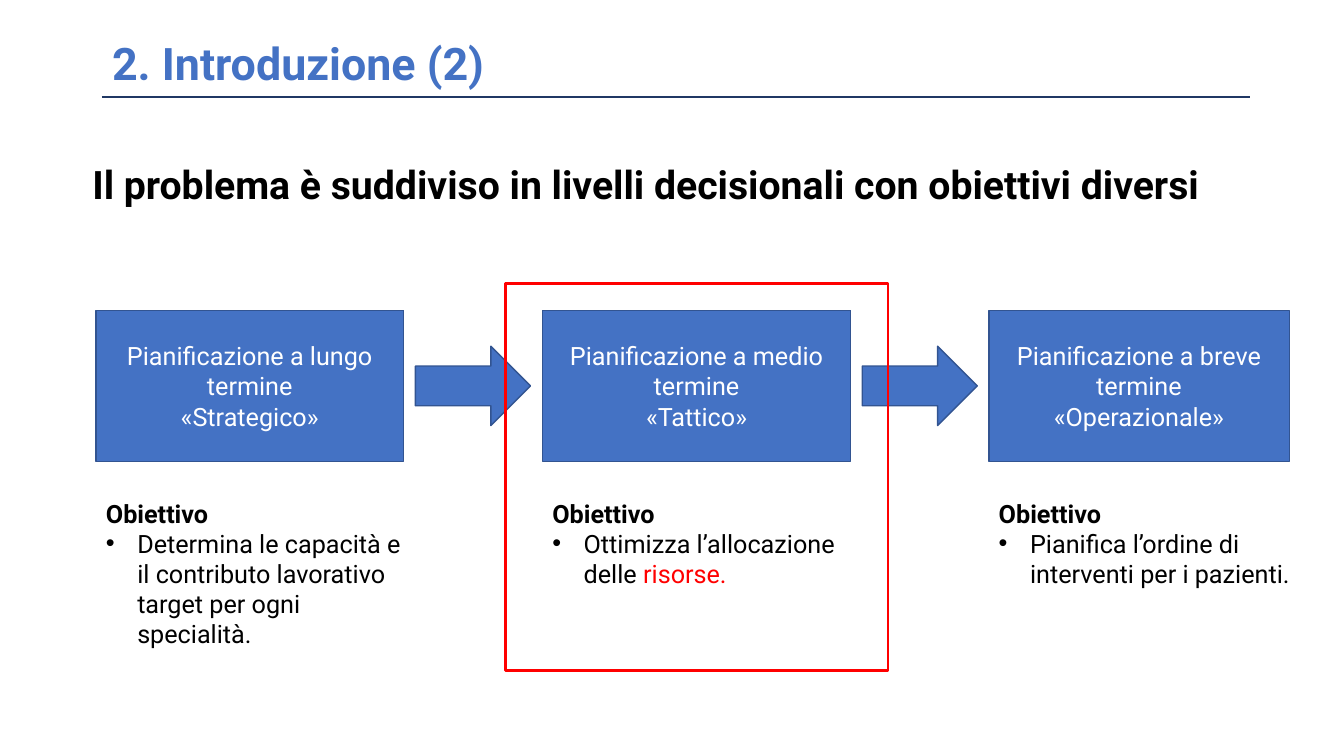
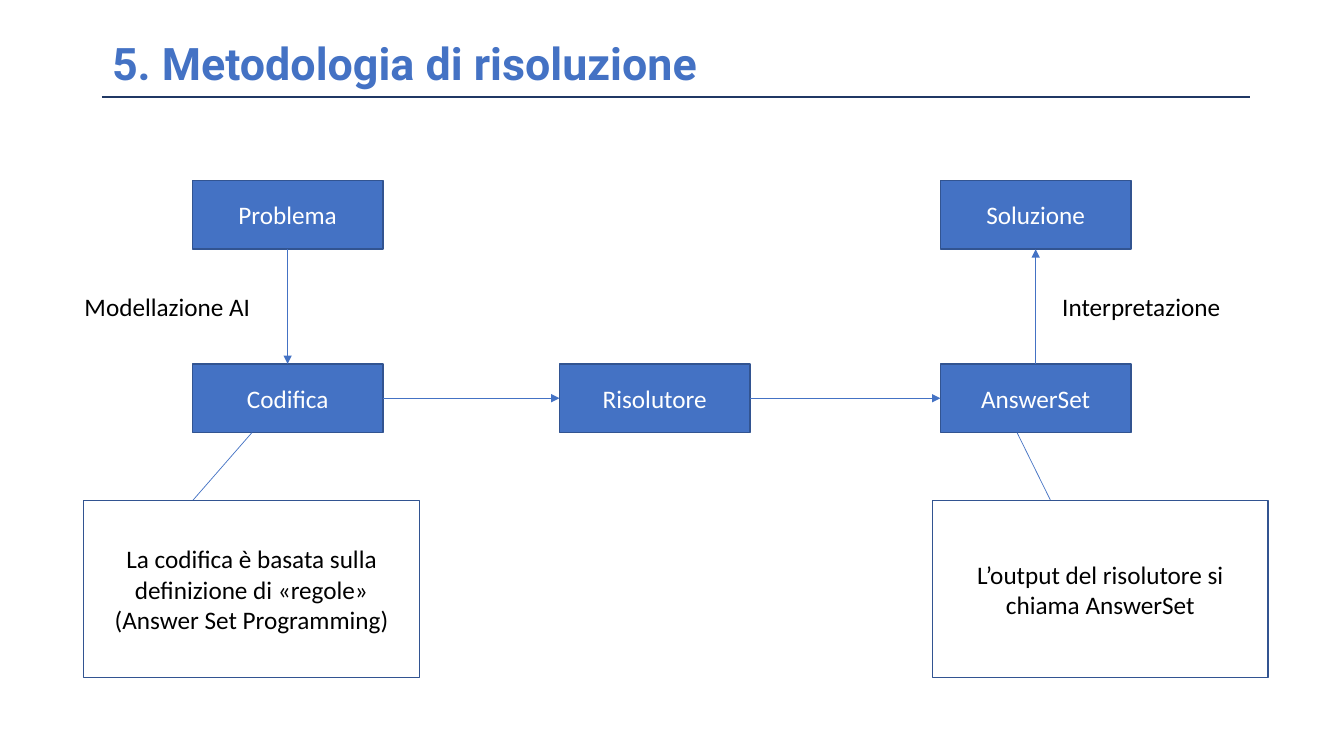
from dataclasses import dataclass

from lxml import etree
from pptx import Presentation
from pptx.dml.color import RGBColor
from pptx.enum.shapes import MSO_CONNECTOR, MSO_SHAPE
from pptx.enum.text import MSO_ANCHOR, MSO_AUTO_SIZE, PP_ALIGN
from pptx.oxml.ns import qn
from pptx.util import Cm, Pt

RECTANGLE = MSO_SHAPE.RECTANGLE
PROCESS = MSO_SHAPE.FLOWCHART_PROCESS
RIGHT_ARROW = MSO_SHAPE.RIGHT_ARROW
STRAIGHT = MSO_CONNECTOR.STRAIGHT
MIDDLE = MSO_ANCHOR.MIDDLE
LEFT, CENTER = PP_ALIGN.LEFT, PP_ALIGN.CENTER
NO_AUTOFIT = MSO_AUTO_SIZE.NONE
TITLE_ONLY = 5
TOP_SIDE, LEFT_SIDE, BOTTOM_SIDE, RIGHT_SIDE = range(4)


@dataclass(frozen=True)
class Theme:
    blue: str = "4472C4"
    outline: str = "325491"
    navy: str = "203864"
    red: str = "FF0000"
    black: str = "000000"
    white: str = "FFFFFF"
    title_size: int = 32
    headline_size: int = 28
    body_size: int = 18
    heading_font: str = "Roboto"
    diagram_font: str = "Calibri"


THEME = Theme()


def rgb(color):
    return RGBColor.from_string(color)


def add_run(para, text, font, color=THEME.black, size=THEME.body_size, bold=False):
    span = para.add_run()
    span.text = text
    span.font.name = font
    span.font.size = Pt(size)
    span.font.bold = bold
    span.font.color.rgb = rgb(color)


def add_shape(slide, kind, left, top, width, height,
              fill=THEME.blue, line=THEME.outline, weight=1):
    shape = slide.shapes.add_shape(kind, Cm(left), Cm(top), Cm(width), Cm(height))
    shape.shadow.inherit = False
    if fill:
        shape.fill.solid()
        shape.fill.fore_color.rgb = rgb(fill)
    else:
        shape.fill.background()
    shape.line.color.rgb = rgb(line)
    shape.line.width = Pt(weight)
    return shape


def write_centered(box, lines, font, color=THEME.white):
    frame = box.text_frame
    frame.word_wrap = True
    frame.vertical_anchor = MIDDLE
    for index, line in enumerate(lines):
        para = frame.add_paragraph() if index else frame.paragraphs[0]
        para.alignment = CENTER
        add_run(para, line, font, color)


def add_text_frame(slide, left, top, width, height):
    box = slide.shapes.add_textbox(Cm(left), Cm(top), Cm(width), Cm(height))
    box.text_frame.word_wrap = True
    return box.text_frame


def add_line(slide, start=(0, 0), end=(0, 0), color=THEME.blue, weight=0.5):
    line = slide.shapes.add_connector(STRAIGHT, *map(Cm, start + end))
    line.line.color.rgb = rgb(color)
    line.line.width = Pt(weight)
    etree.SubElement(line.element.spPr, qn("a:effectLst"))
    return line


def add_arrow(slide, source, source_side, target, target_side):
    arrow = add_line(slide)
    arrow.begin_connect(source, source_side)
    arrow.end_connect(target, target_side)
    outline = arrow.element.spPr.find(qn("a:ln"))
    etree.SubElement(outline, qn("a:tailEnd"), type="triangle")


def make_bullet(para):
    properties = para._p.get_or_add_pPr()
    properties.set("marL", str(Cm(0.79)))
    properties.set("indent", str(-Cm(0.79)))
    etree.SubElement(properties, qn("a:buFont"), typeface="Arial")
    etree.SubElement(properties, qn("a:buChar"), char="•")


def add_titled_slide(deck, text):
    slide = deck.slides.add_slide(deck.slide_layouts[TITLE_ONLY])
    title = slide.shapes.title
    title.left, title.top, title.width, title.height = map(Cm, (2.57, 0.33, 26, 2.64))
    frame = title.text_frame
    frame.word_wrap = True
    frame.auto_size = NO_AUTOFIT
    frame.vertical_anchor = MIDDLE
    para = frame.paragraphs[0]
    para.alignment = LEFT
    para.line_spacing = 0.9
    add_run(para, text, THEME.heading_font, THEME.blue, THEME.title_size, bold=True)
    add_line(slide, (2.57, 2.44), (31.5, 2.44), THEME.navy, 1)
    return slide


def add_goal(slide, left, goal, highlight):
    frame = add_text_frame(slide, left, 12.42, 8, 4.1)
    add_run(frame.paragraphs[0], "Obiettivo", THEME.heading_font, bold=True)
    para = frame.add_paragraph()
    make_bullet(para)
    add_run(para, goal, THEME.heading_font)
    if highlight:
        add_run(para, highlight, THEME.heading_font, THEME.red)


def add_levels_slide(deck):
    slide = add_titled_slide(deck, "2. Introduzione (2)")
    headline = add_text_frame(slide, 2.08, 3.91, 29.92, 1.45)
    add_run(headline.paragraphs[0],
            "Il problema è suddiviso in livelli decisionali con obiettivi diversi",
            THEME.heading_font, size=THEME.headline_size, bold=True)

    levels = [
        (7.75, "Pianificazione a lungo termine", "«Strategico»",
         "Determina le capacità e il contributo lavorativo target per ogni specialità.", ""),
        (7.77, "Pianificazione a medio termine", "«Tattico»",
         "Ottimizza l’allocazione delle ", "risorse."),
        (7.57, "Pianificazione a breve termine", "«Operazionale»",
         "Pianifica l’ordine di interventi per i pazienti.", ""),
    ]
    first_left, pitch, top, height = 2.42, 11.25, 7.82, 3.81
    arrow_width, arrow_height = 2.9, 2
    previous_right = None
    for index, (width, name, level, goal, highlight) in enumerate(levels):
        left = first_left + index * pitch
        box = add_shape(slide, PROCESS, left, top, width, height)
        write_centered(box, [name, level], THEME.heading_font)
        add_goal(slide, left, goal, highlight)
        if previous_right is not None:
            add_shape(slide, RIGHT_ARROW, (previous_right + left - arrow_width) / 2,
                      top + (height - arrow_height) / 2, arrow_width, arrow_height)
        previous_right = left + width
    add_shape(slide, RECTANGLE, 12.73, 7.14, 9.65, 9.75,
              fill=None, line=THEME.red, weight=2)


def add_method_slide(deck):
    slide = add_titled_slide(deck, "5. Metodologia di risoluzione")
    left, center, right = 4.85, 14.1, 23.7
    upper, lower = 4.55, 9.17
    step_width, step_height = 4.8, 1.73
    places = {
        "Problema": (left, upper),
        "Codifica": (left, lower),
        "Risolutore": (center, lower),
        "AnswerSet": (right, lower),
        "Soluzione": (right, upper),
    }
    steps = {}
    for name, place in places.items():
        steps[name] = add_shape(slide, RECTANGLE, *place, step_width, step_height)
        write_centered(steps[name], [name], THEME.diagram_font)

    for source, source_side, target, target_side in [
        ("Problema", BOTTOM_SIDE, "Codifica", TOP_SIDE),
        ("Codifica", RIGHT_SIDE, "Risolutore", LEFT_SIDE),
        ("Risolutore", RIGHT_SIDE, "AnswerSet", LEFT_SIDE),
        ("AnswerSet", TOP_SIDE, "Soluzione", BOTTOM_SIDE),
    ]:
        add_arrow(slide, steps[source], source_side, steps[target], target_side)

    for label_left, label in [(1.88, "Modellazione AI"), (26.52, "Interpretazione")]:
        frame = add_text_frame(slide, label_left, 7.21, 6.73, 1.02)
        add_run(frame.paragraphs[0], label, THEME.diagram_font)

    note_top = 12.62
    for note_left, line_start, line_end, lines in [
        (2.11, 6.35, 4.85, ["La codifica è basata sulla definizione di «regole»",
                            "(Answer Set Programming)"]),
        (23.5, 25.63, 26.48, ["L’output del risolutore si chiama AnswerSet"]),
    ]:
        add_line(slide, (line_start, lower + step_height), (line_end, note_top))
        note = add_shape(slide, RECTANGLE, note_left, note_top, 8.46, 4.45,
                         fill=THEME.white)
        write_centered(note, lines, THEME.diagram_font, THEME.black)


def main():
    deck = Presentation()
    deck.slide_width, deck.slide_height = Cm(33.87), Cm(19.05)
    add_levels_slide(deck)
    add_method_slide(deck)
    deck.save("out.pptx")


if __name__ == "__main__":
    main()
